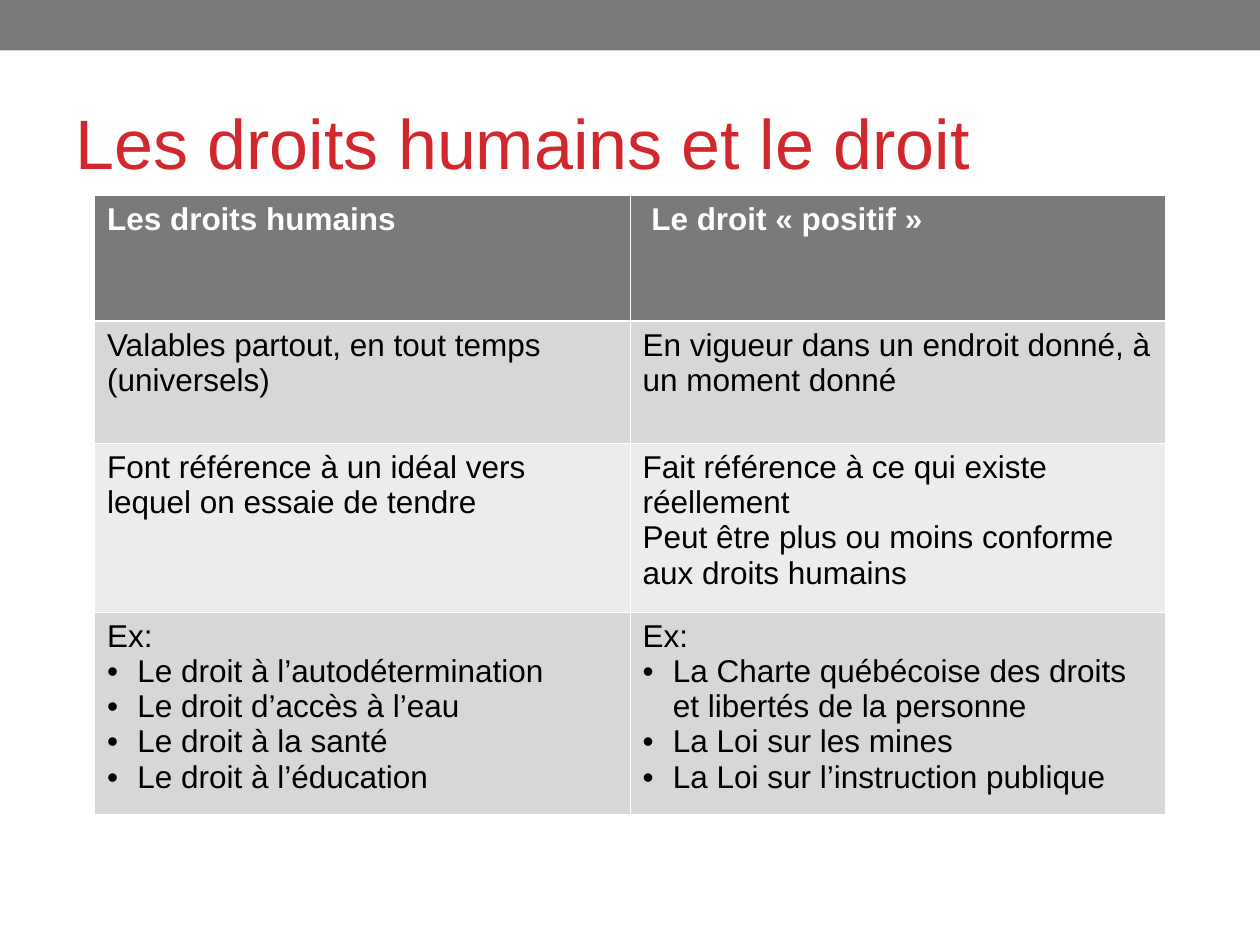
from lxml import etree
from pptx import Presentation
from pptx.dml.color import RGBColor
from pptx.enum.shapes import MSO_SHAPE
from pptx.enum.text import MSO_ANCHOR, MSO_AUTO_SIZE, PP_ALIGN
from pptx.oxml.ns import qn
from pptx.util import Inches, Pt

RECT = MSO_SHAPE.RECTANGLE
MIDDLE, TOP = MSO_ANCHOR.MIDDLE, MSO_ANCHOR.TOP
LEFT = PP_ALIGN.LEFT
NO_AUTOFIT = MSO_AUTO_SIZE.NONE

FONT = "Arial"
COLORS = {
    "gray": "7A7A7A",
    "red": "D1282E",
    "white": "FFFFFF",
    "black": "000000",
    "band_dark": "D7D7D7",
    "band_light": "ECECEC",
}
BULLET = "• "
THIN, THICK = 0.45, 1.47

# Each cell is a list of paragraphs; a leading bullet marks a list item
ROWS = [
    (1, [["Les droits humains"], [" Le droit « positif »"]]),
    (0.97, [["Valables partout, en tout temps (universels)"],
            ["En vigueur dans un endroit donné, à un moment donné"]]),
    (1.34, [["Font référence à un idéal vers lequel on essaie de tendre"],
            ["Fait référence à ce qui existe réellement",
             "Peut être plus ou moins conforme aux droits humains"]]),
    (1.6, [["Ex:", "• Le droit à l’autodétermination", "• Le droit d’accès à l’eau",
            "• Le droit à la santé", "• Le droit à l’éducation"],
           ["Ex:", "• La Charte québécoise des droits et libertés de la personne",
            "• La Loi sur les mines", "• La Loi sur l’instruction publique"]]),
]


def rgb(name):
    return RGBColor.from_string(COLORS[name])


def add_run(p, text, size, color, bold=False):
    r = p.add_run()
    r.text = text
    r.font.name = FONT
    r.font.size = Pt(size)
    r.font.bold = bold
    r.font.color.rgb = rgb(color)


def set_bullet(p):
    indent = Inches(0.24)
    pPr = p._p.get_or_add_pPr()
    pPr.set("marL", str(indent))
    pPr.set("indent", str(-indent))
    etree.SubElement(pPr, qn("a:buFont")).set("typeface", FONT)
    etree.SubElement(pPr, qn("a:buChar")).set("char", BULLET.strip())


def set_borders(cell, widths):
    tcPr = cell._tc.get_or_add_tcPr()
    for side, width in widths.items():
        ln = etree.SubElement(tcPr, qn(f"a:ln{side}"), w=str(Pt(width)))
        fill = etree.SubElement(ln, qn("a:solidFill"))
        etree.SubElement(fill, qn("a:srgbClr")).set("val", COLORS["white"])


def add_top_bar(s, x, y, w, h):
    sp = s.shapes.add_shape(RECT, x, y, w, h)
    sp.shadow.inherit = False
    sp.fill.solid()
    sp.fill.fore_color.rgb = rgb("gray")
    sp.line.fill.background()


def add_title(s, x, y, w, h, text):
    sp = s.shapes.title
    sp.left, sp.top, sp.width, sp.height = x, y, w, h
    tf = sp.text_frame
    tf.word_wrap = True
    tf.auto_size = NO_AUTOFIT
    tf.vertical_anchor = MIDDLE
    p = tf.paragraphs[0]
    p.alignment = LEFT
    add_run(p, text, 40, "red")


def fill_cell(cell, lines, row):
    header = row == 0
    set_borders(cell, {"L": THIN, "R": THIN,
                       "T": THICK if row == 1 else THIN,
                       "B": THICK if header else THIN})
    cell.fill.solid()
    band = "band_dark" if row % 2 else "band_light"
    cell.fill.fore_color.rgb = rgb("gray" if header else band)
    cell.vertical_anchor = TOP
    tf = cell.text_frame
    for i, line in enumerate(lines):
        p = tf.add_paragraph() if i else tf.paragraphs[0]
        if line.startswith(BULLET):
            set_bullet(p)
        add_run(p, line.removeprefix(BULLET), 18,
                "white" if header else "black", header)


def add_comparison(s, x, y, w, h):
    columns = len(ROWS[0][1])
    table = s.shapes.add_table(len(ROWS), columns, x, y, w, h).table
    table.horz_banding = False
    for column in table.columns:
        column.width = w // columns
    for i, (height, cells) in enumerate(ROWS):
        table.rows[i].height = Inches(height)
        for j, lines in enumerate(cells):
            fill_cell(table.cell(i, j), lines, i)


def main():
    prs = Presentation()
    prs.slide_width, prs.slide_height = Inches(10), Inches(7.5)
    s = prs.slides.add_slide(prs.slide_layouts[5])

    # Band across the top
    add_top_bar(s, 0, 0, prs.slide_width, Inches(0.4))
    # Title
    add_title(s, Inches(0.5), Inches(0.58), Inches(9), Inches(1.08),
              "Les droits humains et le droit")
    # Comparison table
    add_comparison(s, Inches(0.75), Inches(1.55), Inches(8.5), Inches(4.91))

    prs.save("out.pptx")


if __name__ == "__main__":
    main()
